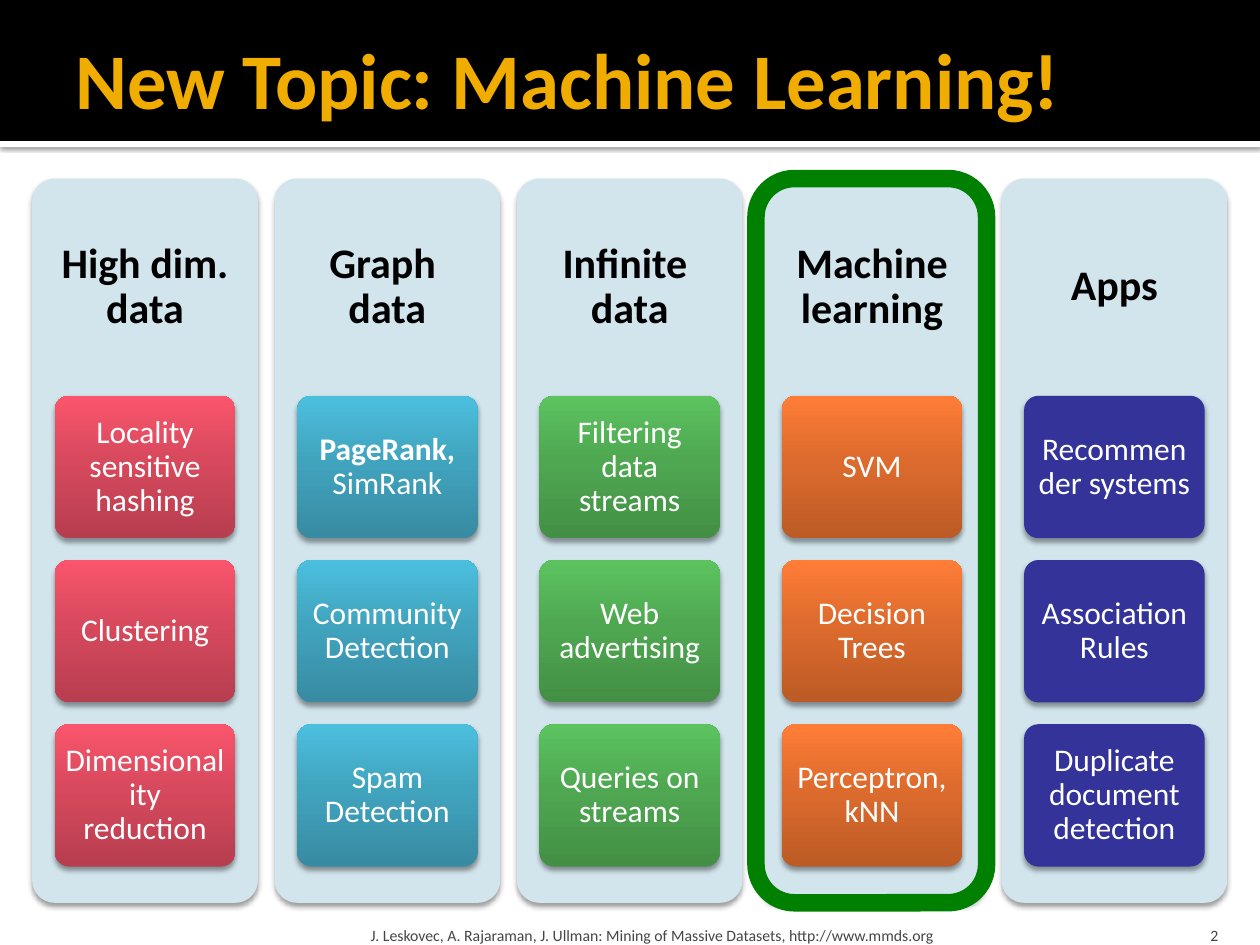
from copy import deepcopy

from lxml import etree
from pptx import Presentation
from pptx import util as u
from pptx.dml.color import RGBColor
from pptx.enum import shapes, text
from pptx.oxml.ns import qn

WHITE = RGBColor(0xFF, 0xFF, 0xFF)
BLACK = RGBColor(0, 0, 0)
GOLD = RGBColor(0xF0, 0xAD, 0x00)
PALE = RGBColor(0xD2, 0xE5, 0xEC)
GRAY = RGBColor(0x45, 0x45, 0x45)
FRAME = RGBColor(0x00, 0x80, 0x00)
# Card fills from bottom to top; a single colour is a plain fill
RED = [RGBColor.from_string(c) for c in ("B73E4F", "D7495D", "FA556C")]
BLUE = [RGBColor.from_string(c) for c in ("378BA2", "41A4BF", "4BBFDE")]
GREEN = [RGBColor.from_string(c) for c in ("438F45", "4FA851", "5CC35F")]
ORANGE = [RGBColor.from_string(c) for c in ("BC5B26", "DD6B2D", "FF7D37")]
INDIGO = [RGBColor.from_string("333399")]

RECT = shapes.MSO_SHAPE.RECTANGLE
ROUND = shapes.MSO_SHAPE.ROUNDED_RECTANGLE
LEFT, CENTER, RIGHT = text.PP_ALIGN.LEFT, text.PP_ALIGN.CENTER, text.PP_ALIGN.RIGHT
MIDDLE, BOTTOM = text.MSO_ANCHOR.MIDDLE, text.MSO_ANCHOR.BOTTOM

# Each shadow is opacity in percent, blur and distance in points
BAR_SHADOW = (60, 2.5, 0.8)
CARD_SHADOW = (38, 3.1, 2)

# Grid in centimetres
COL_X, COL_Y, COL_W, COL_H, COL_STEP = 0.65, 3.6, 4.55, 14.6, 4.885
HEAD_H = 4.38
CARD_Y, CARD_W, CARD_H, CARD_STEP = 7.98, 3.64, 2.87, 3.31

# A card given as a pair has a bold lead
TOPICS = [
    ("High dim. data", RED,
     ["Locality sensitive hashing", "Clustering", "Dimensionality reduction"]),
    ("Graph \vdata", BLUE,
     [("PageRank, ", "SimRank"), "Community Detection", "Spam Detection"]),
    ("Infinite \vdata", GREEN,
     ["Filtering data streams", "Web advertising", "Queries on streams"]),
    ("Machine learning", ORANGE,
     ["SVM", "Decision Trees", "Perceptron, kNN"]),
    ("Apps", INDIGO,
     ["Recommender systems", "Association Rules", "Duplicate document detection"]),
]


class Deck:
    font = "Calibri"

    def __init__(self, width, height):
        self.prs = Presentation()
        self.prs.slide_width, self.prs.slide_height = u.Cm(width), u.Cm(height)
        self.s = self.prs.slides.add_slide(self.prs.slide_layouts[6])

    def shape(self, kind, box, colors=(), shadow=None, adj=None):
        sp = self.s.shapes.add_shape(kind, *map(u.Cm, box))
        if adj is not None:
            sp.adjustments[0] = adj
        if len(colors) > 1:
            self.gradient(sp, colors)
        elif colors:
            sp.fill.solid()
            sp.fill.fore_color.rgb = colors[0]
        else:
            sp.fill.background()
        sp.line.fill.background()
        sp.shadow.inherit = False
        if shadow:
            self.shadow(sp, *shadow)
        return sp

    def gradient(self, sp, colors):
        sp.fill.gradient()
        sp.fill.gradient_angle = 90
        stops = sp.element.spPr.find(".//" + qn("a:gsLst"))
        stops.insert(1, deepcopy(stops[0]))
        for stop, color, pos in zip(sp.fill.gradient_stops, colors, (0, 0.55, 1)):
            stop.color.rgb, stop.position = color, pos

    def shadow(self, sp, opacity, blur, dist):
        effects = sp.element.spPr.find(qn("a:effectLst"))
        outer = etree.SubElement(
            effects, qn("a:outerShdw"), blurRad=str(u.Pt(blur)), dist=str(u.Pt(dist)),
            dir="5400000", algn="ctr", rotWithShape="0")
        color = etree.SubElement(outer, qn("a:srgbClr"), val="000000")
        etree.SubElement(color, qn("a:alpha"), val=str(opacity * 1000))

    def set_text(self, sp, words, size, color, bold=False, align=LEFT,
                 anchor=MIDDLE, insets=(0.25, 0.13, 0.13, 0.13), spacing=None):
        tf = sp.text_frame
        tf.word_wrap = True
        tf.vertical_anchor = anchor
        (tf.margin_left, tf.margin_top,
         tf.margin_right, tf.margin_bottom) = map(u.Cm, insets)
        p = tf.paragraphs[0]
        p.alignment, p.line_spacing = align, spacing
        p.font.name, p.font.size = self.font, u.Pt(size)
        p.font.color.rgb = color
        if isinstance(words, tuple):
            for i, part in enumerate(words):
                r = p.add_run()
                r.text, r.font.bold = part, i == 0
        else:
            p.text = words
            p.font.bold = bold

    def label(self, box, words, size, color, **style):
        sp = self.s.shapes.add_textbox(*map(u.Cm, box))
        self.set_text(sp, words, size, color, **style)

    def card(self, box, words, colors):
        sp = self.shape(ROUND, box, colors, CARD_SHADOW, 0.1)
        self.set_text(sp, words, 18, WHITE, align=CENTER,
                      insets=(0.13, 0.1, 0.13, 0.1), spacing=0.9)

    def column(self, x, heading, colors, cards):
        self.shape(ROUND, (x, COL_Y, COL_W, COL_H), [PALE], CARD_SHADOW, 0.1)
        self.label((x, COL_Y, COL_W, HEAD_H), heading, 24, BLACK, bold=True,
                   align=CENTER, insets=(0.25,) * 4, spacing=0.9)
        card_x = x + (COL_W - CARD_W) / 2
        for i, words in enumerate(cards):
            self.card((card_x, CARD_Y + i * CARD_STEP, CARD_W, CARD_H), words, colors)

    def frame(self, box, color, width):
        sp = self.shape(ROUND, box)
        sp.line.color.rgb = color
        sp.line.width = u.Pt(width)


def main():
    deck = Deck(25.4, 19.05)

    # Title band
    deck.shape(RECT, (0, 2.84, 25.4, 0.13), [WHITE], BAR_SHADOW)
    deck.shape(RECT, (0, 0, 25.4, 2.84), [BLACK])
    deck.label((1.27, 0.2, 22.86, 2.74), "New Topic: Machine Learning!", 45, GOLD,
               bold=True)

    # Topic columns
    for i, topic in enumerate(TOPICS):
        deck.column(COL_X + i * COL_STEP, *topic)

    # Footer and slide number
    deck.label((7.34, 18.29, 15.29, 0.76),
               "J. Leskovec, A. Rajaraman, J. Ullman: Mining of Massive Datasets, "
               "http://www.mmds.org", 9, GRAY, anchor=BOTTOM,
               insets=(0.13, 0.13, 0.13, 0))
    deck.label((22.78, 18.29, 2.03, 0.76), "2", 9, GRAY, align=RIGHT, anchor=BOTTOM,
               insets=(0.25, 0.13, 0.25, 0))

    # Highlight on the new topic
    deck.frame((15.24, COL_Y, 4.65, COL_H), FRAME, 10)

    deck.prs.save("out.pptx")


if __name__ == "__main__":
    main()
